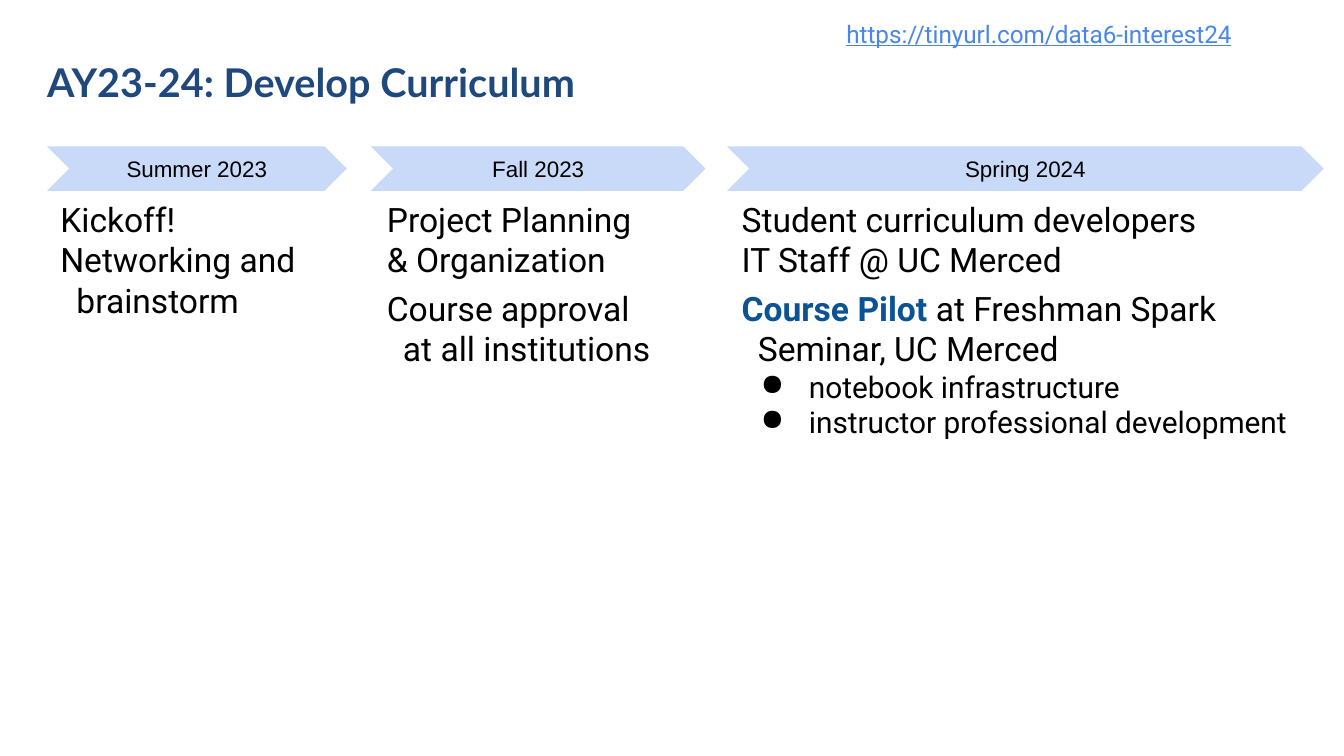
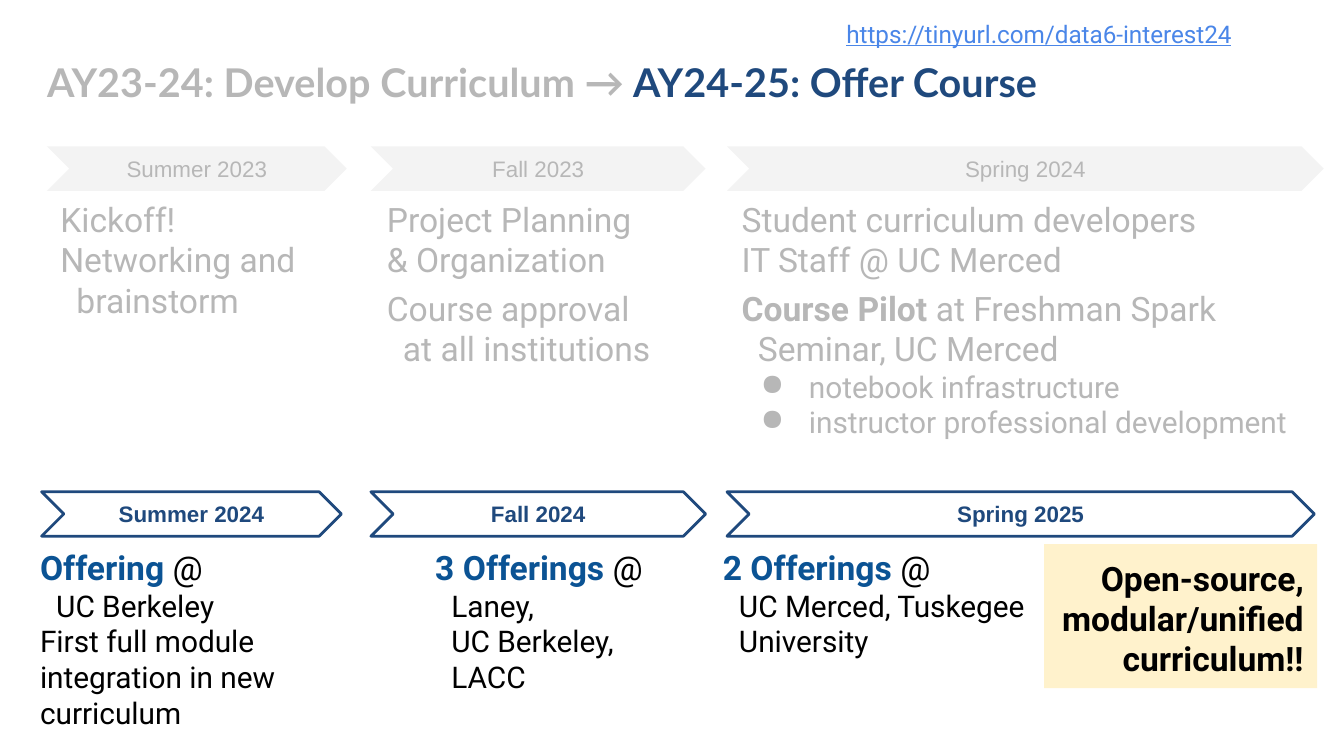
import copy

from lxml import etree
from pptx import Presentation
from pptx import util as u
from pptx.dml.color import RGBColor
from pptx.enum import shapes, text
from pptx.oxml.ns import qn

PX = 4572  # EMU per px, 200 px to the inch
C = {"black": "000000", "navy": "1F497D", "blue": "0B5394", "link": "4A86E8",
     "grey": "B7B7B7", "band": "C9DAF8", "faded": "F3F3F3", "cream": "FFF2CC"}
L, R, MID = text.PP_ALIGN.LEFT, text.PP_ALIGN.RIGHT, text.PP_ALIGN.CENTER
INDENT = {"plain": (0, 0), "hang": (24, -24), "bullet": (100, -72)}


def write(sp, paras, font="Roboto", align=L, middle=False, inset=(20, 20)):
    """Fill a shape with (style, runs); a run is (text, size, colour, bold)."""
    tf = sp.text_frame
    tf.word_wrap = True
    tf.vertical_anchor = text.MSO_ANCHOR.MIDDLE if middle else text.MSO_ANCHOR.TOP
    tf.margin_left = tf.margin_right = inset[0] * PX
    tf.margin_top = tf.margin_bottom = inset[1] * PX
    for i, (style, runs) in enumerate(paras):
        p = tf.add_paragraph() if i else tf.paragraphs[0]
        p.alignment = align
        pPr = p._p.get_or_add_pPr()
        left, first = INDENT[style]
        pPr.set("marL", str(left * PX))
        pPr.set("indent", str(first * PX))
        if style == "bullet":
            clr = etree.SubElement(pPr, qn("a:buClr"))
            etree.SubElement(clr, qn("a:srgbClr"), val=C[runs[0][2]])
            etree.SubElement(pPr, qn("a:buChar"), char="●")
        for words, size, colour, bold in runs:
            for n, line in enumerate(words.split("\n")):
                if n:  # a line break takes the format of the run before it
                    p.add_line_break()
                    p._p[-1].insert(0, copy.deepcopy(r._r.rPr))
                if not line:
                    continue
                r = p.add_run()
                r.text = line
                r.font.name, r.font.size, r.font.bold = font, u.Pt(size), bold
                r.font.color.rgb = RGBColor.from_string(C[colour])
    return tf


def add_box(s, box, kind=None, fill=None, line=None):
    box = [v * PX for v in box]
    if kind is None:
        return s.shapes.add_textbox(*box)
    sp = s.shapes.add_shape(kind, *box)
    sp.shadow.inherit = False
    if fill:
        sp.fill.solid()
        sp.fill.fore_color.rgb = RGBColor.from_string(C[fill])
    else:
        sp.fill.background()
    if line:
        sp.line.color.rgb = RGBColor.from_string(C[line])
        sp.line.width = u.Pt(1.5)
    else:
        sp.line.fill.background()
    return sp


prs = Presentation()
prs.slide_width, prs.slide_height = 2000 * PX, 1125 * PX
CHEVRON, RECT = shapes.MSO_SHAPE.CHEVRON, shapes.MSO_SHAPE.RECTANGLE

# Per slide: title runs, text colour, accent colour, band fill
looks = [
    ([("AY23-24: Develop Curriculum", 21.2, "navy", True)], "black", "blue", "band"),
    ([("AY23-24: Develop Curriculum →", 21.2, "grey", True),
      (" AY24-25: Offer Course", 21.2, "navy", True)], "grey", "grey", "faded"),
]
terms = [("Summer 2023", 70, 446), ("Fall 2023", 552, 498), ("Spring 2024", 1082, 888)]

for title, ink, accent, band in looks:
    s = prs.slides.add_slide(prs.slide_layouts[6])

    # Sign-up address and title
    sp = add_box(s, (1232, 8, 620, 86))
    tf = write(sp, [("plain", [("https://tinyurl.com/data6-interest24", 13, "link", False)])],
               align=R)
    tf.paragraphs[0].runs[0].font.underline = True
    sp = add_box(s, (56, 64, 1858, 124))
    tf = write(sp, [("plain", title)], "Lato", middle=True, inset=(14, 8))
    tf.paragraphs[0].line_spacing = 0.9

    # Development year timeline
    for term, x, w in terms:
        sp = add_box(s, (x, 218, w, 66), CHEVRON, fill=band)
        write(sp, [("plain", [(term, 12, ink, False)])], "Arial", MID, True)

    # What happens in each term
    notes = [
        ((70, 276, 416, 214), [("plain", "Kickoff!", 18),
                               ("hang", "Networking and brainstorm", 18)]),
        ((556, 276, 438, 212), [("plain", "Project Planning & Organization", 18)]),
        ((556, 408, 438, 260), [("hang", "Course approval at all institutions", 18)]),
        ((1084, 276, 922, 212), [("plain", "Student curriculum developers", 18),
                                 ("plain", "IT Staff @ UC Merced", 18)]),
        ((1084, 408, 922, 260), [("hang", " at Freshman Spark Seminar, UC Merced", 18),
                                 ("bullet", "notebook infrastructure", 16),
                                 ("bullet", "instructor professional development", 16)]),
    ]
    for box, lines in notes:
        paras = [(style, [(words, size, ink, False)]) for style, words, size in lines]
        if lines[0][1].startswith(" at Freshman"):
            paras[0][1].insert(0, ("Course Pilot", 18, accent, True))
        write(add_box(s, box), paras)

# Offering year timeline, on the second slide only
offer_terms = [("Summer 2024", 62, 446), ("Fall 2024", 552, 498), ("Spring 2025", 1082, 874)]
for term, x, w in offer_terms:
    sp = add_box(s, (x, 732, w, 66), CHEVRON, line="navy")
    write(sp, [("plain", [(term, 12, "navy", True)])], "Arial", MID, True)

# Where the course is offered
offers = [
    ((40, 794, 546, 298), "Offering", "UC Berkeley",
     "First full module integration in new curriculum"),
    ((628, 794, 394, 298), "3 Offerings", "Laney,\nUC Berkeley, LACC", None),
    ((1056, 794, 498, 214), "2 Offerings", "UC Merced, Tuskegee University", None),
]
for box, head, places, extra in offers:
    paras = [("hang", [(head, 18, "blue", True), (" @\n", 18, "black", False),
                       (places, 16, "black", False)])]
    if extra:
        paras.append(("plain", [(extra, 16, "black", False)]))
    write(add_box(s, box), paras)

# Outcome callout
sp = add_box(s, (1554, 810, 406, 214), RECT, fill="cream")
write(sp, [("plain", [("Open-source, modular/unified curriculum!!", 18, "black", True)])],
      align=R)

prs.save("out.pptx")
